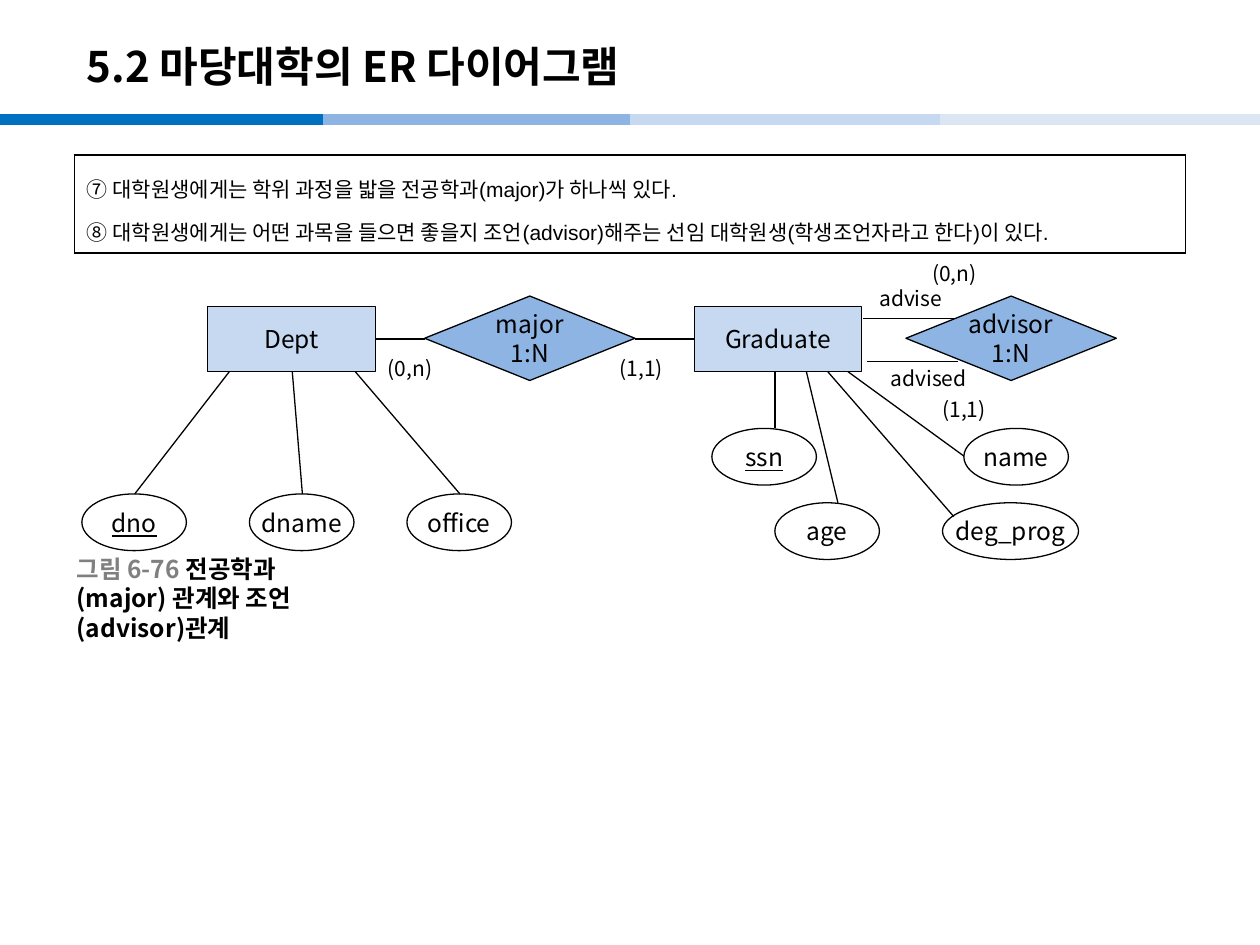
"""Build the ER diagram slide for the major and advisor relationships."""
from lxml.etree import SubElement
from pptx import Presentation
from pptx.dml.color import RGBColor
from pptx.enum.shapes import MSO_CONNECTOR, MSO_SHAPE
from pptx.enum.text import MSO_ANCHOR, PP_ALIGN
from pptx.oxml.ns import qn
from pptx.util import Inches, Pt

FONT = "Noto Sans CJK KR"
COLORS = {
    "black": "000000", "white": "FFFFFF", "gray": "808080",
    "strong": "0070C0", "medium": "8EB4E3", "light": "C6D9F1", "pale": "DCE6F2",
}

deck = Presentation()
deck.slide_width, deck.slide_height = Inches(10), Inches(7.5)
column, row = deck.slide_width / 100, deck.slide_height / 75
page = deck.slides.add_slide(deck.slide_layouts[5])


def write(para, text, size, color="black", bold=False, underline=False, font=FONT):
    span = para.add_run()
    span.text = text
    span.font.size = Pt(size)
    span.font.bold = bold
    span.font.underline = underline
    span.font.color.rgb = RGBColor.from_string(COLORS[color])
    span.font.name = font
    SubElement(span.font._element, qn("a:ea"), typeface=FONT)


def connect(left, top, right, bottom, color="black", width=0.75):
    ends = [round(end) for end in (left * column, top * row, right * column, bottom * row)]
    line = page.shapes.add_connector(MSO_CONNECTOR.STRAIGHT, *ends)
    line.line.color.rgb = RGBColor.from_string(COLORS[color])
    line.line.width = Pt(width)
    SubElement(line._element.spPr, qn("a:effectLst"))


for left, color in [(0, "strong"), (25.6, "medium"), (50, "light"), (74.6, "pale")]:
    connect(left, 9.5, left + 25.6, 9.5, color, 6)

title = page.shapes.title
title.left, title.top = round(5.9 * column), round(2.2 * row)
title.width, title.height = round(82.7 * column), round(6 * row)
title.text_frame.vertical_anchor = MSO_ANCHOR.MIDDLE
title.text_frame.word_wrap = True
title.text_frame.paragraphs[0].alignment = PP_ALIGN.LEFT
write(title.text_frame.paragraphs[0], "5.2 마당대학의 ER 다이어그램", 24, bold=True)

table = page.shapes.add_table(
    1, 1, round(5.9 * column), round(12.3 * row), round(88.2 * column), round(6.6 * row)
).table
table.first_row = table.horz_banding = False
cell = table.cell(0, 0)
cell.vertical_anchor = MSO_ANCHOR.MIDDLE
for side in ("a:lnL", "a:lnR", "a:lnT", "a:lnB"):
    border = SubElement(cell._tc.get_or_add_tcPr(), qn(side), w=str(Pt(1)))
    SubElement(SubElement(border, qn("a:solidFill")), qn("a:srgbClr"), val=COLORS["black"])
cell.fill.solid()
cell.fill.fore_color.rgb = RGBColor.from_string(COLORS["white"])
rules = [
    "⑦ 대학원생에게는 학위 과정을 밟을 전공학과(major)가 하나씩 있다.",
    "⑧ 대학원생에게는 어떤 과목을 들으면 좋을지 조언(advisor)해주는 선임 대학원생(학생조언자라고 한다)이 있다.",
]
for index, rule in enumerate(rules):
    para = cell.text_frame.add_paragraph() if index else cell.text_frame.paragraphs[0]
    para.line_spacing = 1.4
    write(para, rule, 12, font="Arial")

kinds = {
    "entity": (MSO_SHAPE.RECTANGLE, "light", 13.3, 5.2),
    "relation": (MSO_SHAPE.DIAMOND, "medium", 16.7, 6.7),
    "attribute": (MSO_SHAPE.OVAL, "white", 8.3, 4.5),
    "wide attribute": (MSO_SHAPE.OVAL, "white", 10.8, 4.5),
}
nodes = [
    ("entity", 16.5, 24.3, ["Dept"]),
    ("attribute", 6.5, 39.2, ["dno"]),
    ("attribute", 32.3, 39.2, ["office"]),
    ("attribute", 19.8, 39.2, ["dname"]),
    ("relation", 33.7, 23.5, ["major", "1:N"]),
    ("entity", 55.1, 24.3, ["Graduate"]),
    ("attribute", 56.5, 34, ["ssn"]),
    ("attribute", 61.5, 39.9, ["age"]),
    ("wide attribute", 74.8, 39.9, ["deg_prog"]),
    ("attribute", 76.5, 34, ["name"]),
    ("relation", 71.9, 23.5, ["advisor", "1:N"]),
]
for kind, left, top, words in nodes:
    preset, color, width, height = kinds[kind]
    node = page.shapes.add_shape(
        preset, round(left * column), round(top * row), round(width * column), round(height * row)
    )
    node.shadow.inherit = False
    node.fill.solid()
    node.fill.fore_color.rgb = RGBColor.from_string(COLORS[color])
    node.line.color.rgb = RGBColor.from_string(COLORS["black"])
    node.line.width = Pt(0.75)
    node.text_frame.word_wrap = False
    node.text_frame.vertical_anchor = MSO_ANCHOR.MIDDLE
    for index, word in enumerate(words):
        para = node.text_frame.add_paragraph() if index else node.text_frame.paragraphs[0]
        para.alignment = PP_ALIGN.CENTER
        write(para, word, 14, underline=word in ("dno", "ssn"))

entity_bottom = 29.5
for start, end, attribute_top in [
    (18.2, 10.7, 39.2), (23.2, 24, 39.2), (28.2, 36.5, 39.2),
    (61.5, 61.5, 34), (64, 66.5, 39.9), (65.7, 75.7, 41), (67.3, 76.5, 36.2),
]:
    connect(start, entity_bottom, end, attribute_top)
for left, right, height in [
    (29.8, 33.7, 26.9), (50.4, 55.1, 26.9), (68.5, 75.7, 25.3), (68.8, 76, 28.7),
]:
    connect(left, height, right, height)

for text, left, top, width in [
    ("(0,n)", 29.8, 27.7, 7.5), ("(1,1)", 48.2, 27.7, 5.8),
    ("advise", 68.8, 22.2, 8.3), ("advised", 69.7, 28.5, 8.3),
    ("(0,n)", 73, 20.2, 5.8), ("(1,1)", 73.8, 31, 5.8),
]:
    label = page.shapes.add_textbox(
        round(left * column), round(top * row), round(width * column), round(3 * row)
    )
    label.text_frame.word_wrap = True
    write(label.text_frame.paragraphs[0], text, 12)

caption = page.shapes.add_textbox(
    round(5.1 * column), round(45.9 * row), round(20.5 * column), round(3.1 * row)
)
caption.text_frame.word_wrap = False
caption.text_frame.vertical_anchor = MSO_ANCHOR.MIDDLE
para = caption.text_frame.paragraphs[0]
write(para, "그림 6-76 ", 14, "gray", bold=True)
write(para, "전공학과(major) 관계와 조언(advisor)관계", 14, bold=True)

deck.save("out.pptx")
